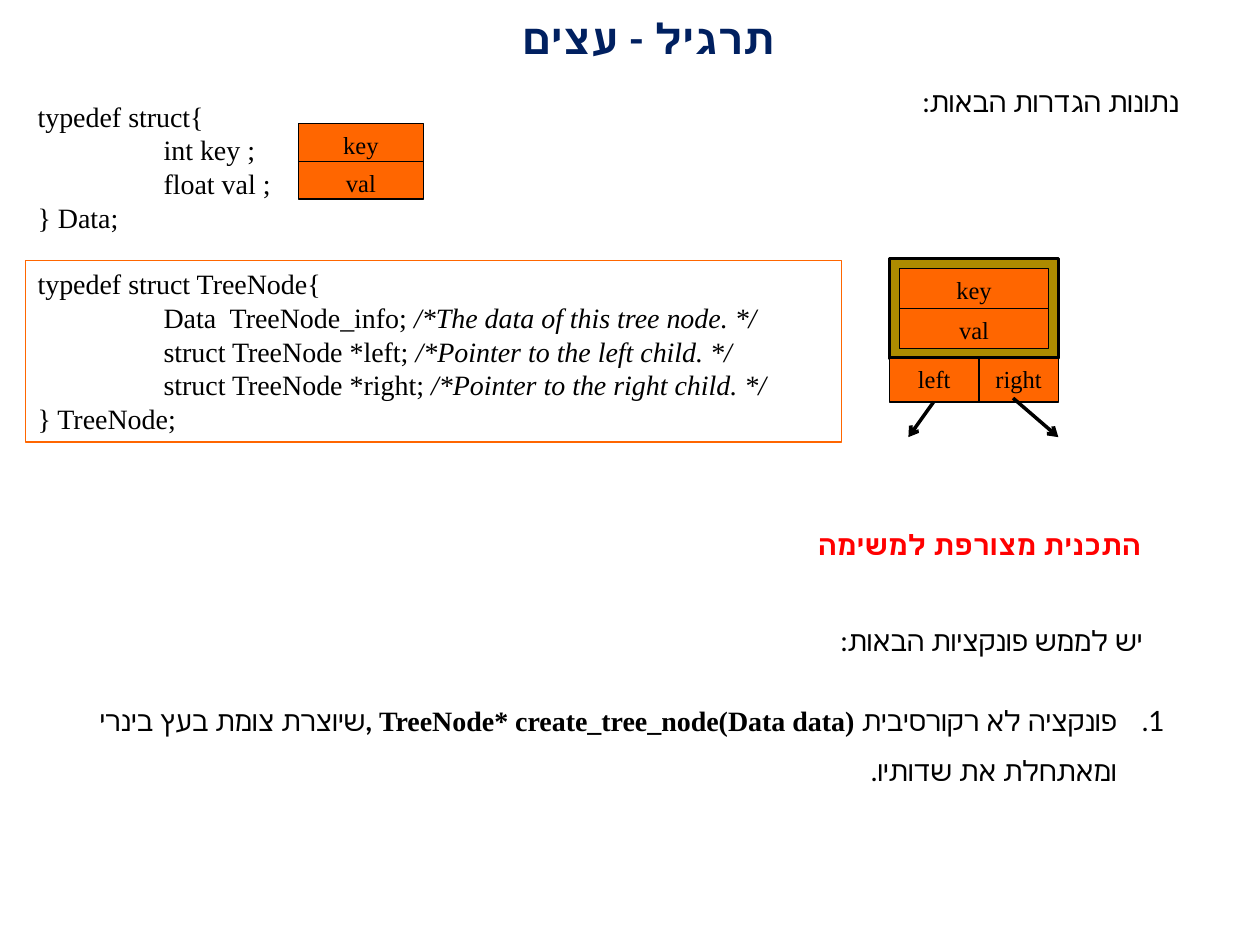
from lxml.etree import SubElement
from pptx import Presentation
from pptx.dml.color import RGBColor
from pptx.enum.shapes import MSO_CONNECTOR, MSO_SHAPE
from pptx.enum.text import MSO_ANCHOR, MSO_AUTO_SIZE, PP_ALIGN
from pptx.oxml.ns import qn
from pptx.util import Pt

BLACK = RGBColor(0x00, 0x00, 0x00)
NAVY = RGBColor(0x00, 0x20, 0x60)
RED = RGBColor(0xFF, 0x00, 0x00)
ORANGE = RGBColor(0xFF, 0x66, 0x00)
OLIVE = RGBColor(0xAD, 0x8B, 0x00)
SERIF, SANS = "Times New Roman", "Lato"

deck = Presentation()
deck.slide_width, deck.slide_height = Pt(720), Pt(540)
page = deck.slides.add_slide(deck.slide_layouts[6])


def write(box, lines, size=16, font=SERIF, color=BLACK, bold=False, align=PP_ALIGN.RIGHT,
          rtl=True, spacing=None, numbered=False, grow=True):
    """Fill a box with lines; each line is a list of (text, overrides)."""
    frame = box.text_frame
    frame.word_wrap = True
    frame.vertical_anchor = MSO_ANCHOR.TOP
    frame.auto_size = MSO_AUTO_SIZE.SHAPE_TO_FIT_TEXT if grow else MSO_AUTO_SIZE.NONE
    for index, line in enumerate(lines):
        para = frame.add_paragraph() if index else frame.paragraphs[0]
        para.alignment = align
        if spacing:
            para.line_spacing = spacing
        properties = para._p.get_or_add_pPr()
        if rtl:
            properties.set("rtl", "1")
        else:
            tabs = SubElement(properties, qn("a:tabLst"))
            SubElement(tabs, qn("a:tab"), pos=str(Pt(72)), algn="l")
        if numbered:
            properties.set("marL", str(Pt(27)))
            properties.set("indent", str(Pt(-27)))
            tint = SubElement(properties, qn("a:buClr"))
            SubElement(tint, qn("a:srgbClr"), val=str(BLACK))
            SubElement(properties, qn("a:buAutoNum"), type="arabicPeriod")
        for text, extra in line:
            span = para.add_run()
            span.text = text
            span.font.size = Pt(size)
            span.font.name = extra.get("font", font)
            span.font.bold = extra.get("bold", bold)
            span.font.italic = extra.get("italic", False)
            span.font.color.rgb = color
            SubElement(span._r.get_or_add_rPr(), qn("a:cs"), typeface=SANS)


def rectangle(left, top, width, height, fill, line, weight=0.75):
    box = page.shapes.add_shape(MSO_SHAPE.RECTANGLE, Pt(left), Pt(top), Pt(width), Pt(height))
    box.shadow.inherit = False
    if fill is None:
        box.fill.background()
    else:
        box.fill.solid()
        box.fill.fore_color.rgb = fill
    box.line.color.rgb = line
    box.line.width = Pt(weight)
    return box


# Right-to-left texts
task = [
    ("פונקציה לא רקורסיבית ", {}),
    ("TreeNode* create_tree_node(Data data) ,", {"font": SERIF, "bold": True}),
    ("שיוצרת צומת בעץ בינרי ומאתחלת את שדותיו.", {}),
]
texts = [
    (260, 3.6, 221, 36, [("תרגיל - עצים", {})],
     dict(size=24, color=NAVY, bold=True, align=PP_ALIGN.CENTER)),
    (481, 44.6, 200, 26.6, [("נתונות הגדרות הבאות:", {})], dict(font=SANS)),
    (459.4, 298, 200, 26.6, [("התכנית מצורפת למשימה", {})], dict(color=RED, bold=True)),
    (55.4, 343.4, 604.8, 36, [("יש לממש פונקציות הבאות:", {})], dict(font=SANS, spacing=1.5)),
    (42.5, 388.8, 630, 64.8, task, dict(font=SANS, spacing=1.5, numbered=True)),
]
for left, top, width, height, line, style in texts:
    box = page.shapes.add_textbox(Pt(left), Pt(top), Pt(width), Pt(height))
    write(box, [line], **style)

# Struct definitions
comment = {"italic": True}
data_code = [[(text, {})] for text in
             ("typedef struct{", "\tint key ;", "\tfloat val ;", "} Data;")]
node_code = [
    [("typedef struct TreeNode{", {})],
    [("\tData  TreeNode_info; ", {}), ("/*The data of this tree node. */", comment)],
    [("\tstruct TreeNode *left; ", {}), ("/*Pointer to the left child. */", comment)],
    [("\tstruct TreeNode *right; ", {}), ("/*Pointer to the right child. */", comment)],
    [("} TreeNode;", {})],
]
data_box = page.shapes.add_textbox(Pt(14.4), Pt(53.3), Pt(226.8), Pt(84.2))
node_box = rectangle(14.4, 149, 466.6, 103.7, None, ORANGE)
for box, code in ((data_box, data_code), (node_box, node_code)):
    write(box, code, align=PP_ALIGN.LEFT, rtl=False)

# Data record and tree node diagrams
rectangle(508.3, 147.6, 96.5, 56.9, OLIVE, BLACK, 2)
cells = [
    ("key", 170.6, 70.6, 71.3, 21.6),
    ("val", 170.6, 92.2, 71.3, 21.6),
    ("key", 514.1, 153.4, 85, 25.6),
    ("val", 514.1, 176.4, 85, 22.7),
    ("left", 508.3, 204.5, 51.1, 25.2),
    ("right", 559.4, 204.5, 45.4, 25.2),
]
for label, *place in cells:
    write(rectangle(*place, ORANGE, BLACK), [[(label, {})]],
          size=14, align=PP_ALIGN.CENTER, grow=False)

# Child pointers
for start_x, start_y, end_x in ((533.5, 229.7, 519.1), (578.9, 227.5, 604.8)):
    arrow = page.shapes.add_connector(
        MSO_CONNECTOR.STRAIGHT, Pt(start_x), Pt(start_y), Pt(end_x), Pt(249.8))
    arrow.line.color.rgb = BLACK
    arrow.line.width = Pt(2)
    SubElement(arrow.line._get_or_add_ln(), qn("a:tailEnd"), type="arrow")
    SubElement(arrow._element.spPr, qn("a:effectLst"))

deck.save("out.pptx")
